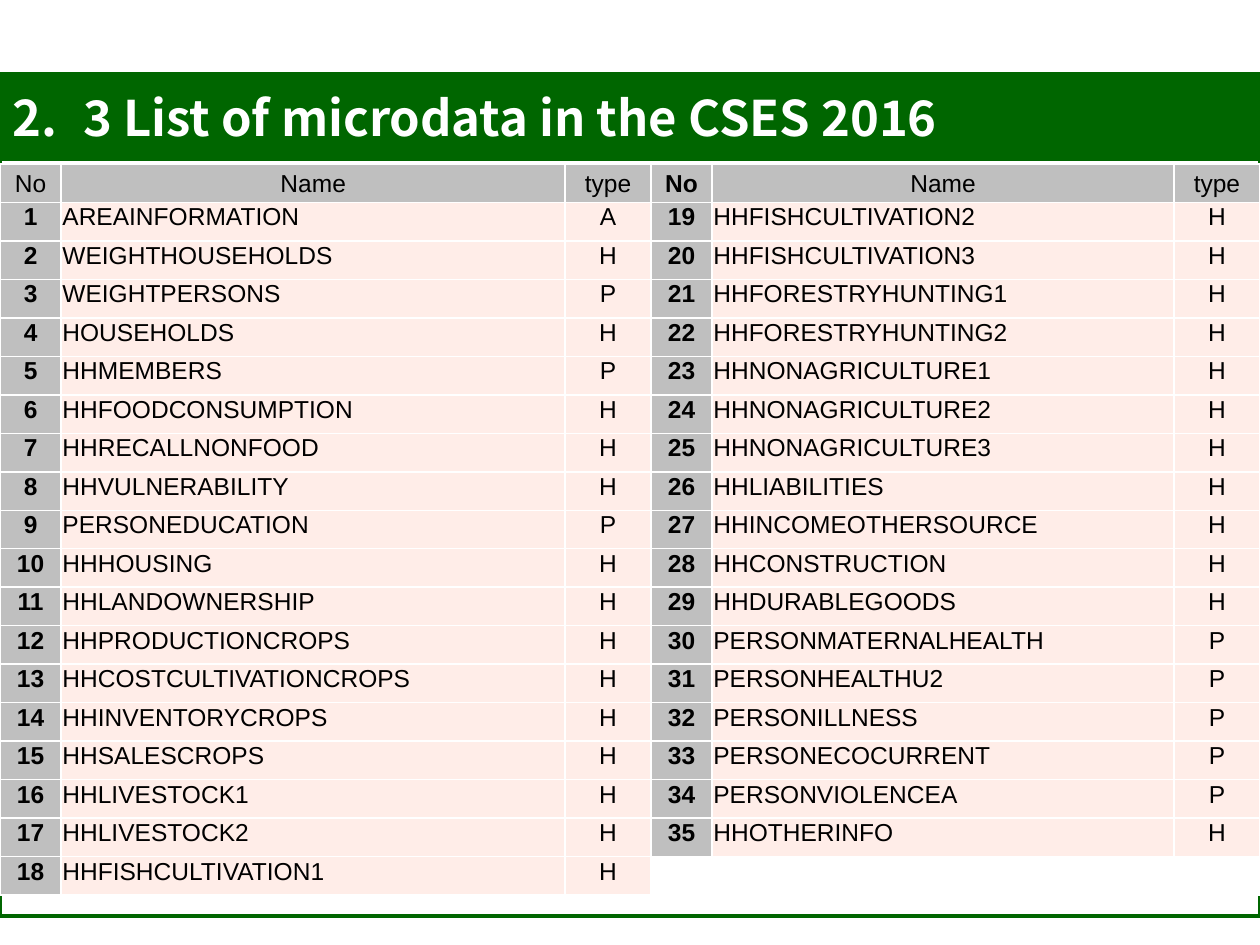
from lxml.etree import SubElement
from pptx import Presentation
from pptx.dml.color import RGBColor
from pptx.enum.shapes import MSO_SHAPE
from pptx.enum.text import MSO_ANCHOR, MSO_AUTO_SIZE, PP_ALIGN
from pptx.oxml.ns import qn
from pptx.util import Pt

# Content
TITLE = "3 List of microdata in the CSES 2016"
TITLE_NUMBER = 2
HEADINGS = ("No", "Name", "type")
FILES = [
    ("AREAINFORMATION", "A"), ("WEIGHTHOUSEHOLDS", "H"),
    ("WEIGHTPERSONS", "P"), ("HOUSEHOLDS", "H"),
    ("HHMEMBERS", "P"), ("HHFOODCONSUMPTION", "H"),
    ("HHRECALLNONFOOD", "H"), ("HHVULNERABILITY", "H"),
    ("PERSONEDUCATION", "P"), ("HHHOUSING", "H"),
    ("HHLANDOWNERSHIP", "H"), ("HHPRODUCTIONCROPS", "H"),
    ("HHCOSTCULTIVATIONCROPS", "H"), ("HHINVENTORYCROPS", "H"),
    ("HHSALESCROPS", "H"), ("HHLIVESTOCK1", "H"),
    ("HHLIVESTOCK2", "H"), ("HHFISHCULTIVATION1", "H"),
    ("HHFISHCULTIVATION2", "H"), ("HHFISHCULTIVATION3", "H"),
    ("HHFORESTRYHUNTING1", "H"), ("HHFORESTRYHUNTING2", "H"),
    ("HHNONAGRICULTURE1", "H"), ("HHNONAGRICULTURE2", "H"),
    ("HHNONAGRICULTURE3", "H"), ("HHLIABILITIES", "H"),
    ("HHINCOMEOTHERSOURCE", "H"), ("HHCONSTRUCTION", "H"),
    ("HHDURABLEGOODS", "H"), ("PERSONMATERNALHEALTH", "P"),
    ("PERSONHEALTHU2", "P"), ("PERSONILLNESS", "P"),
    ("PERSONECOCURRENT", "P"), ("PERSONVIOLENCEA", "P"),
    ("HHOTHERINFO", "H"),
]

# Format
GREEN = RGBColor(0x00, 0x66, 0x00)
WHITE = RGBColor(0xFF, 0xFF, 0xFF)
BLACK = RGBColor(0x00, 0x00, 0x00)
GREY = RGBColor(0xBF, 0xBF, 0xBF)
PINK = RGBColor(0xFF, 0xED, 0xE8)
TITLE_FONT = {"name": "Noto Sans CJK JP", "size": Pt(28), "bold": True}
CELL_FONT = {"name": "Arial", "size": Pt(14)}
CELL_MARGINS = {"margin_left": Pt(0.7), "margin_right": Pt(0.7),
                "margin_top": Pt(0.7), "margin_bottom": Pt(0)}
SLIDE_WIDTH, SLIDE_HEIGHT = 720, 540
TITLE_TOP, TITLE_HEIGHT = 42.5, 48.2
FRAME_HEIGHT = 432.7
TABLE_TOP, ROW_HEIGHT = 93.6, 22.02
COLUMN_WIDTHS = (35, 288, 49, 35, 264, 49)
ROWS_PER_HALF = 18


def set_attributes(target, values):
    for name, value in values.items():
        setattr(target, name, value)


def set_font(font, values, color):
    set_attributes(font, values)
    font.color.rgb = color


def set_outline(shape):
    shape.line.color.rgb = GREEN
    shape.line.width = Pt(2.25)


def add_borders(cell):
    properties = cell._tc.get_or_add_tcPr()
    for position, side in enumerate(("a:lnL", "a:lnR", "a:lnT", "a:lnB")):
        line = properties.makeelement(qn(side), {"w": str(Pt(1))})
        properties.insert(position, line)
        fill = SubElement(line, qn("a:solidFill"))
        SubElement(fill, qn("a:srgbClr"), val=str(WHITE))


def fill_cell(cell, text, heading, is_header):
    set_attributes(cell, CELL_MARGINS)
    cell.vertical_anchor = MSO_ANCHOR.MIDDLE if is_header else MSO_ANCHOR.TOP
    grey = is_header or heading == "No"
    cell.fill.solid()
    cell.fill.fore_color.rgb = (GREY if grey else PINK) if text else WHITE
    add_borders(cell)
    paragraph = cell.text_frame.paragraphs[0]
    if not text:
        SubElement(paragraph._p, qn("a:endParaRPr"), sz="1400")
        return
    left = heading == "Name" and not is_header
    paragraph.alignment = PP_ALIGN.LEFT if left else PP_ALIGN.CENTER
    run = paragraph.add_run()
    run.text = text
    set_font(run.font, CELL_FONT, BLACK)
    # The first "No" heading is the only number cell in regular weight
    run.font.bold = heading == "No" and text != HEADINGS[0]


presentation = Presentation()
presentation.slide_width = Pt(SLIDE_WIDTH)
presentation.slide_height = Pt(SLIDE_HEIGHT)
slide = presentation.slides.add_slide(presentation.slide_layouts[5])

# Title band with its automatic number
title = slide.shapes.title
set_attributes(title, {"left": Pt(0), "top": Pt(TITLE_TOP),
                       "width": Pt(SLIDE_WIDTH), "height": Pt(TITLE_HEIGHT)})
title.fill.solid()
title.fill.fore_color.rgb = GREEN
set_outline(title)
set_attributes(title.text_frame, {"word_wrap": True, "auto_size": MSO_AUTO_SIZE.NONE,
                                  "vertical_anchor": MSO_ANCHOR.MIDDLE})
paragraph = title.text_frame.paragraphs[0]
paragraph.alignment = PP_ALIGN.LEFT
properties = paragraph._p.get_or_add_pPr()
properties.set("marL", str(Pt(40.5)))
properties.set("indent", str(Pt(-40.5)))
SubElement(properties, qn("a:buFont"), typeface="+mj-lt")
SubElement(properties, qn("a:buAutoNum"), type="arabicPeriod", startAt=str(TITLE_NUMBER))
run = paragraph.add_run()
run.text = TITLE
set_font(run.font, TITLE_FONT, WHITE)

# Frame below the title
frame = slide.shapes.add_shape(MSO_SHAPE.RECTANGLE, Pt(0), Pt(TITLE_TOP + TITLE_HEIGHT),
                               Pt(SLIDE_WIDTH), Pt(FRAME_HEIGHT))
frame.shadow.inherit = False
frame.fill.background()
set_outline(frame)

# Table: two halves side by side, numbered down each half
row_count = ROWS_PER_HALF + 1
table = slide.shapes.add_table(row_count, len(COLUMN_WIDTHS), Pt(0), Pt(TABLE_TOP),
                               Pt(SLIDE_WIDTH), Pt(ROW_HEIGHT * row_count)).table
set_attributes(table, {"first_row": False, "horz_banding": False})
for column, width in zip(table.columns, COLUMN_WIDTHS):
    column.width = Pt(width)
for row in table.rows:
    row.height = Pt(ROW_HEIGHT)

numbered = [(str(number), *entry) for number, entry in enumerate(FILES, 1)]
numbered += [("", "", "")] * (2 * ROWS_PER_HALF - len(FILES))
for half in range(2):
    start = half * ROWS_PER_HALF
    records = [HEADINGS] + numbered[start:start + ROWS_PER_HALF]
    for row_index, record in enumerate(records):
        for offset, (heading, text) in enumerate(zip(HEADINGS, record)):
            cell = table.cell(row_index, half * len(HEADINGS) + offset)
            fill_cell(cell, text, heading, row_index == 0)
second_number_heading = table.cell(0, len(HEADINGS))
second_number_heading.text_frame.paragraphs[0].runs[0].font.bold = True

presentation.save("out.pptx")
